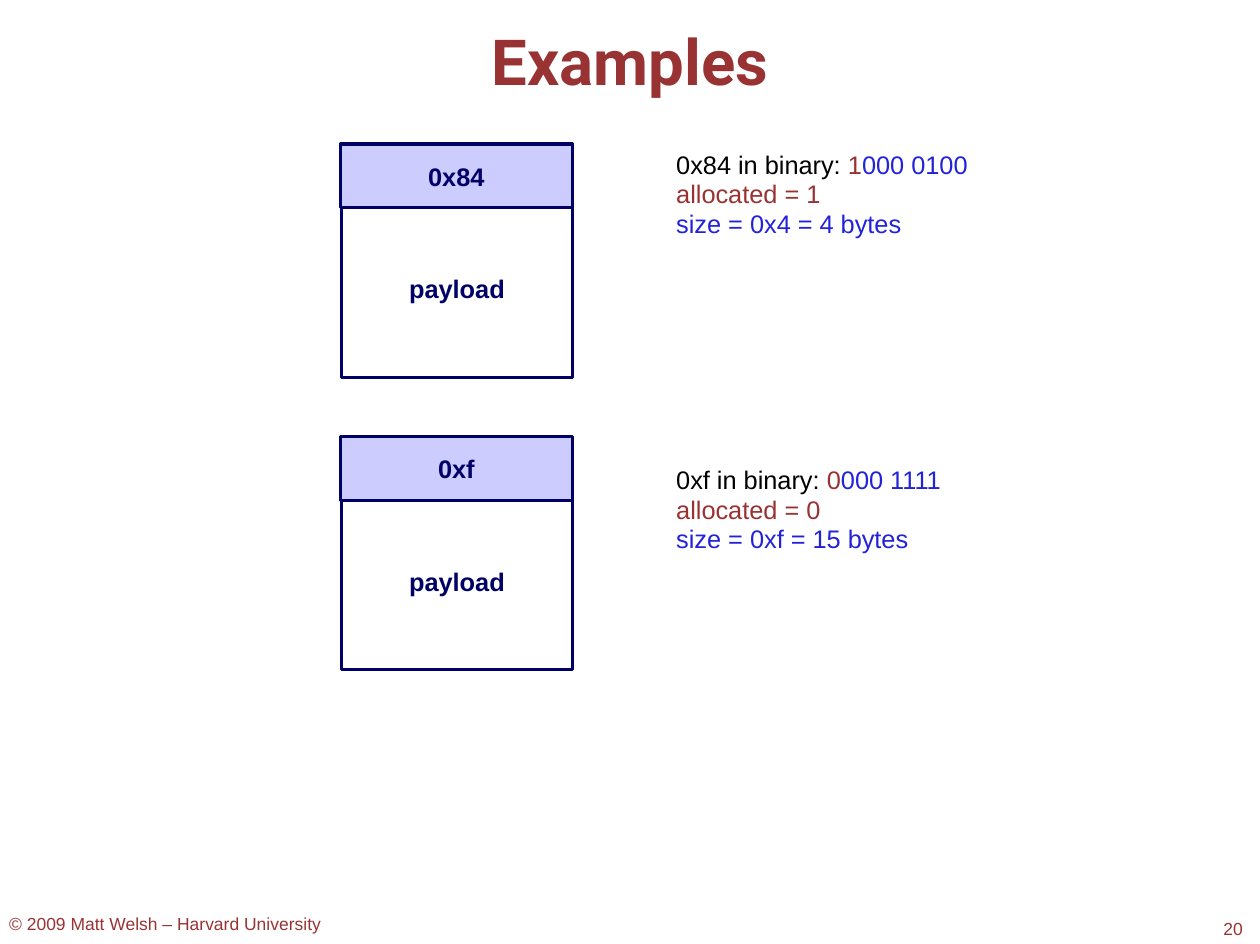
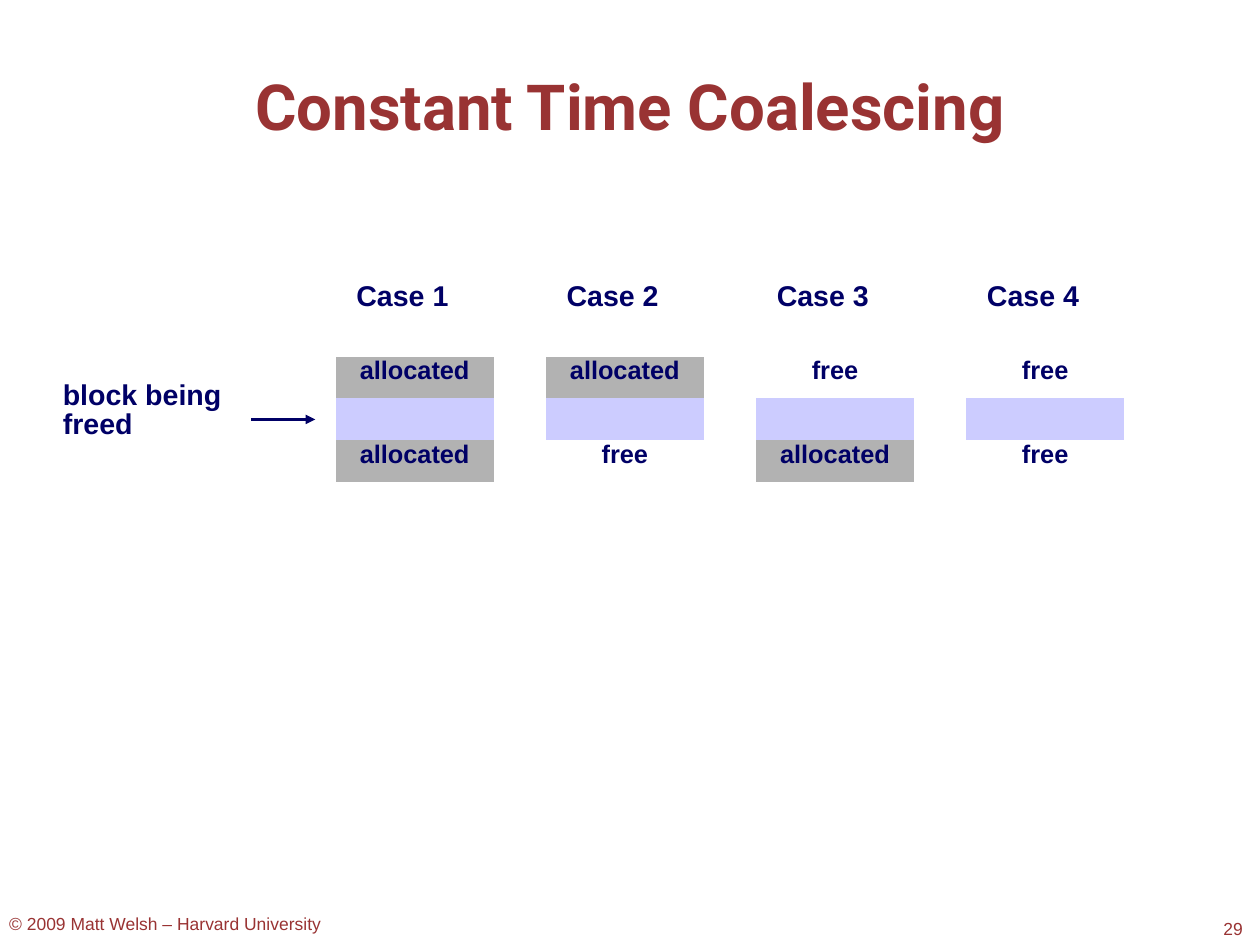
from lxml.etree import SubElement
from pptx import Presentation
from pptx.dml.color import RGBColor
from pptx.enum.shapes import MSO_CONNECTOR as Connector, MSO_SHAPE as Shape
from pptx.enum.text import MSO_ANCHOR as Anchor, MSO_AUTO_SIZE as AutoSize, PP_ALIGN as Align
from pptx.oxml.ns import qn
from pptx.util import Inches, Pt

PAGE_WIDTH, PAGE_HEIGHT = 11.03, 8.26
RED, NAVY, BLUE, BLACK = "993333", "000066", "2222DB", "000000"
LILAC, GRAY, WHITE = "CCCCFF", "B2B2B2", "FFFFFF"
CELL_FILLS = {"allocated": GRAY, "": LILAC, "free": WHITE}
PLAIN_TABLE = "{2D5ABB26-0587-4C30-8999-92F81FD0307C}"
COPYRIGHT = "© 2009 Matt Welsh – Harvard University"


def color(value):
    return RGBColor.from_string(value)


def inches(*lengths):
    return [Inches(length) for length in lengths]


def write(frame, *lines, size=16, ink=NAVY, bold=False, font="Arial",
          align=Align.LEFT, anchor=Anchor.TOP, leading=None):
    frame.word_wrap = True
    frame.auto_size = AutoSize.NONE
    frame.vertical_anchor = anchor
    frame.margin_left = frame.margin_right = frame.margin_top = frame.margin_bottom = 0
    for index, line in enumerate(lines):
        para = frame.add_paragraph() if index else frame.paragraphs[0]
        para.alignment = align
        if leading:
            para.line_spacing = Pt(leading)
        for text, span_ink in [(line, ink)] if isinstance(line, str) else line:
            span = para.add_run()
            span.text = text
            span.font.name = font
            span.font.size = Pt(size)
            span.font.bold = bold
            span.font.color.rgb = color(span_ink)


def add_text(page, box, *lines, **style):
    write(page.shapes.add_textbox(*inches(*box)).text_frame, *lines, **style)


def add_page(deck, title, title_top, number):
    page = deck.slides.add_slide(deck.slide_layouts[5])
    heading = page.shapes.title
    heading.left, heading.top, heading.width, heading.height = inches(0, title_top, PAGE_WIDTH, 0.58)
    write(heading.text_frame, title, size=40, ink=RED, bold=True, font="Roboto", align=Align.CENTER)
    add_text(page, (0.08, 7.99, 3.2, 0.18), COPYRIGHT, size=11, ink=RED)
    add_text(page, (10.38, 8.03, 0.5, 0.18), str(number), size=11, ink=RED, align=Align.RIGHT)
    return page


def add_panel(page, box, label, fill=None):
    panel = page.shapes.add_shape(Shape.RECTANGLE, *inches(*box))
    panel.shadow.inherit = False
    if fill:
        panel.fill.solid()
        panel.fill.fore_color.rgb = color(fill)
    else:
        panel.fill.background()
    panel.line.color.rgb = color(NAVY)
    panel.line.width = Pt(2)
    write(panel.text_frame, label, bold=True, align=Align.CENTER, anchor=Anchor.MIDDLE)


def add_memory_block(page, box, header):
    left, top, width, height = box
    header_height, payload_offset = 0.56, 0.49
    add_panel(page, (left + 0.01, top + payload_offset, width - 0.01, height - payload_offset), "payload")
    add_panel(page, (left, top, width, header_height), header, LILAC)


def add_decoding(page, box, header, flag, size_bits, size):
    add_text(page, box,
             [(f"{header} in binary: ", BLACK), (flag, RED), (size_bits, BLUE)],
             [(f"allocated = {flag}", RED)],
             [(f"size = {size}", BLUE)], leading=18.6)


def add_arrow(page, left, right, y):
    arrow = page.shapes.add_connector(Connector.STRAIGHT, *inches(left, y, right, y))
    arrow.line.color.rgb = color(NAVY)
    arrow.line.width = Pt(2)
    SubElement(arrow.line._get_or_add_ln(), qn("a:tailEnd"), type="triangle")
    SubElement(arrow.element.spPr, qn("a:effectLst"))


def add_case(page, box, label, states):
    left, top, width, height = box
    label_height, table_offset = 0.28, 0.69
    add_text(page, (left + 0.18, top, 1, label_height), label, size=18, bold=True)
    table_height = height - table_offset
    holder = page.shapes.add_table(len(states), 1, *inches(left, top + table_offset, width, table_height))
    table = holder.table
    table.first_row = table.horz_banding = False
    for style in holder.element.iter(qn("a:tableStyleId")):
        style.text = PLAIN_TABLE
    for row, state in enumerate(states):
        table.rows[row].height = Inches(table_height / len(states))
        cell = table.cell(row, 0)
        cell.margin_left = cell.margin_right = cell.margin_top = cell.margin_bottom = 0
        cell.fill.solid()
        cell.fill.fore_color.rgb = color(CELL_FILLS[state])
        if state:
            write(cell.text_frame, state, bold=True, align=Align.CENTER)


def build_examples(deck):
    page = add_page(deck, "Examples", 0.19, 20)
    examples = [
        (1.26, 1.31, "0x84", "1", "000 0100", "0x4 = 4 bytes"),
        (3.82, 4.07, "0xf", "0", "000 1111", "0xf = 15 bytes"),
    ]
    for block_top, text_top, header, *decoding in examples:
        add_memory_block(page, (2.98, block_top, 2.03, 2.04), header)
        add_decoding(page, (5.92, text_top, 3, 0.76), header, *decoding)


def build_coalescing(deck):
    page = add_page(deck, "Constant Time Coalescing", 0.59, 29)
    add_text(page, (0.55, 3.35, 1.5, 0.53), "block being freed", size=18, bold=True, leading=18)
    add_arrow(page, 2.2, 2.76, 3.67)
    cases = [("allocated", "allocated"), ("allocated", "free"), ("free", "allocated"), ("free", "free")]
    for index, (before, after) in enumerate(cases):
        add_case(page, (2.94 + 1.84 * index, 2.43, 1.38, 1.79), f"Case {index + 1}", (before, "", after))


def main():
    deck = Presentation()
    deck.slide_width, deck.slide_height = inches(PAGE_WIDTH, PAGE_HEIGHT)
    build_examples(deck)
    build_coalescing(deck)
    deck.save("out.pptx")


if __name__ == "__main__":
    main()
